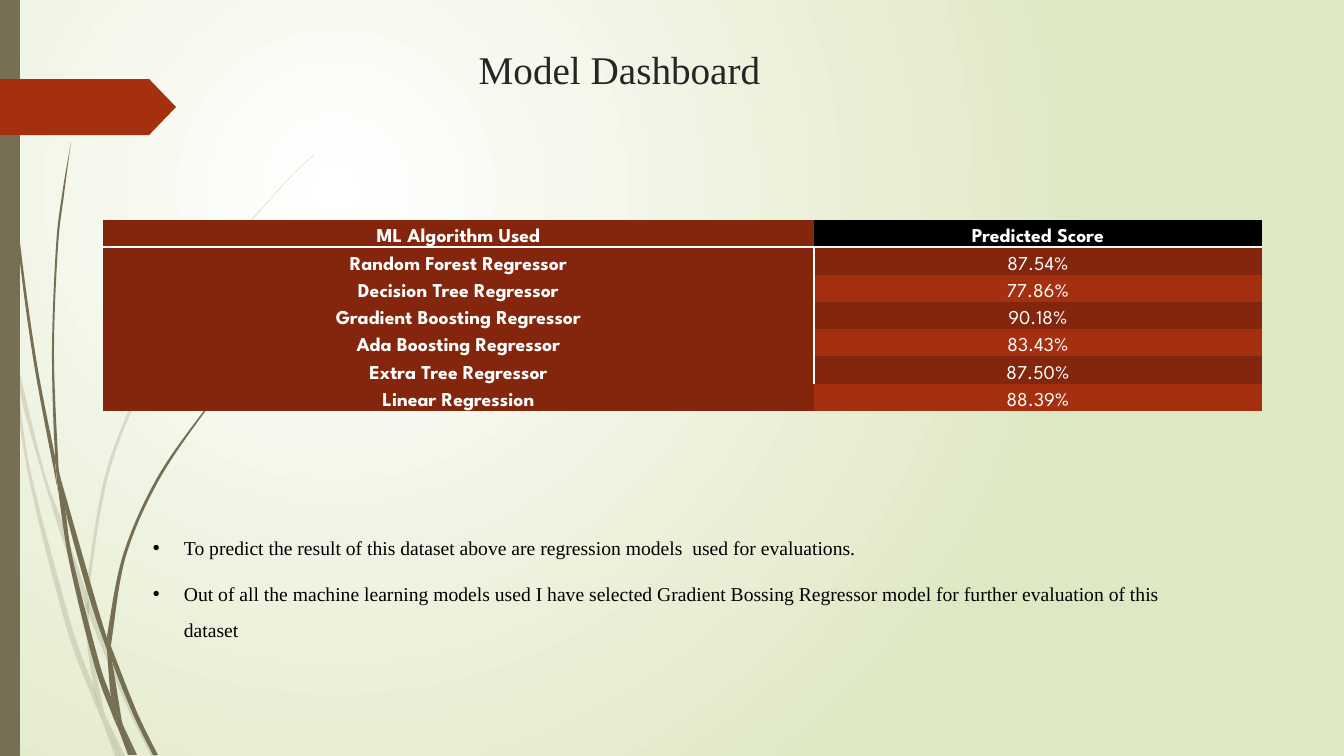
import dataclasses

import pptx
import pptx.dml.color
import pptx.enum.shapes
import pptx.enum.text
import pptx.oxml.ns
import pptx.util
from lxml import etree

PIXEL = 914400 / 100.8
PAGE_WIDTH, PAGE_HEIGHT = 1344, 756
qn = pptx.oxml.ns.qn


@dataclasses.dataclass(frozen=True)
class Theme:
    olive: str = "766F54"
    rust: str = "A53010"
    dark_rust: str = "84260D"
    black: str = "000000"
    white: str = "FFFFFF"
    title_ink: str = "262626"
    backdrop: str = "DFE8C4"
    serif: str = "Times New Roman"
    sans: str = "League Spartan"
    title_size: int = 28
    body_size: int = 14


THEME = Theme()

# Blades of grass: each is a list of smooth edges, which meet at corners
PALE_BLADES = [
    [[(11, 353), (9, 325), (0, 284)], [(0, 301), (10, 347), (11, 353)]],
    [[(14, 348), (17, 379), (29, 428), (58, 526), (85, 604)],
     [(86, 591), (63, 524), (43, 467), (14, 348)]],
    [[(89, 601), (89, 615), (124, 700), (151, 756)], [(156, 756), (128, 698), (93, 612), (89, 601)]],
    [[(120, 756), (125, 756)], [(106, 717), (120, 756)]],
    [[(11, 353), (28, 474), (66, 626), (93, 699), (102, 720)],
     [(100, 713), (94, 688), (71, 624), (31, 473), (17, 379), (11, 353)]],
    [[(85, 604), (88, 651), (94, 688), (97, 698), (106, 717)],
     [(104, 712), (92, 651), (89, 615), (89, 613), (85, 604)]],
    [[(86, 591), (86, 589), (108, 465), (159, 351), (230, 246), (270, 199), (291, 176), (314, 154)],
     [(314, 155), (292, 176), (270, 200), (231, 247), (161, 352), (111, 466), (89, 589), (89, 601)]],
    [[(102, 720), (115, 756)], [(120, 756), (102, 720)]],
    [[(89, 613), (89, 601)], [(86, 591), (85, 604), (89, 613)]],
    [[(94, 688), (100, 713), (102, 720), (120, 756)], [(106, 717), (97, 698), (94, 688)]],
]
DARK_BLADES = [
    [[(3, 0), (4, 48), (7, 111), (17, 235), (33, 358), (56, 481), (57, 485)],
     [(55, 461), (55, 457), (36, 358), (19, 234), (8, 110), (5, 48), (4, 0)]],
    [[(60, 476), (65, 509), (89, 597), (107, 650)], [(107, 638), (94, 595), (60, 476)]],
    [[(111, 646), (112, 661), (133, 714), (153, 755)], [(158, 755), (137, 712), (114, 654), (111, 646)]],
    [[(57, 481), (69, 561), (94, 664), (112, 714), (118, 728)],
     [(117, 723), (111, 697), (99, 662), (73, 560), (65, 509), (57, 481)]],
    [[(60, 476), (58, 457), (54, 352), (58, 247), (64, 195), (71, 142)],
     [(71, 142), (62, 195), (56, 247), (52, 352), (55, 453), (60, 476)]],
    [[(134, 755), (137, 755)], [(123, 725), (134, 755)]],
    [[(57, 481), (65, 509)], [(60, 476), (55, 453)], [(55, 457), (57, 481)]],
    [[(112, 638), (126, 556), (159, 480), (207, 409), (233, 377), (247, 362), (263, 347)],
     [(262, 347), (247, 361), (233, 376), (206, 408), (157, 478), (123, 555), (107, 636)],
     [(111, 646), (112, 638)]],
    [[(118, 728), (128, 755)], [(132, 755), (118, 728)]],
    [[(107, 650), (111, 697), (117, 712), (123, 725)], [(122, 722), (112, 661), (110, 656), (107, 650)]],
    [[(107, 650), (110, 656), (112, 661)], [(111, 646), (107, 636)]],
    [[(111, 697), (117, 723), (118, 728), (131, 755)], [(134, 755), (123, 725), (117, 712), (111, 697)]],
]
SCORES = [
    ("ML Algorithm Used", "Predicted Score"),
    ("Random Forest Regressor", "87.54%"),
    ("Decision Tree Regressor", "77.86%"),
    ("Gradient Boosting Regressor", "90.18%"),
    ("Ada Boosting Regressor", "83.43%"),
    ("Extra Tree Regressor", "87.50%"),
    ("Linear Regression", "88.39%"),
]
REMARKS = [
    "To predict the result of this dataset above are regression models  used for evaluations.",
    "Out of all the machine learning models used I have selected Gradient Bossing Regressor "
    "model for further evaluation of this dataset",
]


def emu(pixels):
    return pptx.util.Emu(round(pixels * PIXEL))


def rgb(colour):
    return pptx.dml.color.RGBColor.from_string(colour)


def set_font(paragraph, name, size, colour, bold=False):
    font = paragraph.font
    font.name, font.size, font.bold = name, pptx.util.Pt(size), bold
    font.color.rgb = rgb(colour)


def paint(shape, colour, opacity=100):
    shape.shadow.inherit = False
    shape.line.fill.background()
    shape.fill.solid()
    shape.fill.fore_color.rgb = rgb(colour)
    if opacity < 100:
        tone = shape._element.spPr.find(".//" + qn("a:srgbClr"))
        etree.SubElement(tone, qn("a:alpha"), val=str(opacity * 1000))


def bend_edges(shape, edges):
    """Turn the straight segments within each edge into Catmull-Rom curves."""
    spots = list(shape._element.iter(qn("a:pt")))
    first = 0
    for edge in edges:
        run = spots[first:first + len(edge)]
        first += len(edge)
        places = [(int(spot.get("x")), int(spot.get("y"))) for spot in run]
        padded = [places[0], *places, places[-1]]
        for spot, a, b, c, d in zip(run[1:], padded, padded[1:], padded[2:], padded[3:]):
            segment = spot.getparent()
            curve = etree.Element(qn("a:cubicBezTo"))
            leave = [q + (r - p) / 6 for p, q, r in zip(a, b, c)]
            arrive = [r - (s - q) / 6 for q, r, s in zip(b, c, d)]
            for x, y in (leave, arrive, c):
                etree.SubElement(curve, qn("a:pt"), x=str(round(x)), y=str(round(y)))
            segment.getparent().replace(segment, curve)


def add_blade(page, left, top, edges, opacity):
    points = [(emu(left + x), emu(top + y)) for edge in edges for x, y in edge]
    builder = page.shapes.build_freeform(*points[0])
    builder.add_line_segments(points[1:], close=True)
    blade = builder.convert_to_shape()
    bend_edges(blade, edges)
    paint(blade, THEME.olive, opacity)


def add_backdrop(page):
    fill = page.background.fill
    fill.gradient()
    for stop, colour in zip(fill.gradient_stops, (THEME.white, THEME.backdrop)):
        stop.color.rgb = rgb(colour)
    gradient = page._element.find(".//" + qn("a:gradFill"))
    gradient.remove(gradient.find(qn("a:lin")))
    circle = etree.SubElement(gradient, qn("a:path"), {"path": "circle"})
    etree.SubElement(circle, qn("a:fillToRect"), l="50000", t="50000", r="100000", b="100000")


def add_side_decoration(page, left, top, height):
    for blades, opacity in ((PALE_BLADES, 20), (DARK_BLADES, 100)):
        for edges in blades:
            add_blade(page, left, top, edges, opacity)
    kinds = pptx.enum.shapes.MSO_SHAPE
    # Side bar, then the arrow tag over it
    bar = page.shapes.add_shape(kinds.RECTANGLE, emu(left), emu(top), emu(20), emu(height))
    paint(bar, THEME.olive)
    tag = page.shapes.add_shape(kinds.PENTAGON, emu(left), emu(top + 79), emu(176), emu(56))
    tag.adjustments[0] = 0.48
    paint(tag, THEME.rust)


def add_text_box(page, left, top, width, height):
    box = page.shapes.add_textbox(emu(left), emu(top), emu(width), emu(height))
    box.text_frame.word_wrap = True
    return box.text_frame


def add_title(page, left, top, width, height):
    paragraph = add_text_box(page, left, top, width, height).paragraphs[0]
    paragraph.text = "Model Dashboard"
    paragraph.alignment = pptx.enum.text.PP_ALIGN.CENTER
    set_font(paragraph, THEME.serif, THEME.title_size, THEME.title_ink)


def add_border(cell, side, points):
    edge = etree.Element(qn("a:" + side), w=str(pptx.util.Pt(points)))
    fill = etree.SubElement(edge, qn("a:solidFill"))
    etree.SubElement(fill, qn("a:srgbClr"), val=THEME.white)
    cell._tc.get_or_add_tcPr().insert(0, edge)


def cell_colour(row, column):
    if column == 0:
        return THEME.dark_rust
    if row == 0:
        return THEME.black
    return THEME.dark_rust if row % 2 else THEME.rust


def add_score_table(page, left, top, column_widths, height):
    table = page.shapes.add_table(len(SCORES), 2, emu(left), emu(top),
                                  emu(sum(column_widths)), emu(height)).table
    # Plain style without a grid
    table._tbl.tblPr.find(qn("a:tableStyleId")).text = "{2D5ABB26-0587-4C30-8999-92F81FD0307C}"
    for column, width in zip(table.columns, column_widths):
        column.width = emu(width)
    for row, texts in enumerate(SCORES):
        for column, text in enumerate(texts):
            cell = table.cell(row, column)
            cell.margin_left = cell.margin_right = emu(7)
            cell.margin_top = cell.margin_bottom = 0
            cell.vertical_anchor = pptx.enum.text.MSO_ANCHOR.BOTTOM
            cell.fill.solid()
            cell.fill.fore_color.rgb = rgb(cell_colour(row, column))
            paragraph = cell.text_frame.paragraphs[0]
            paragraph.text = text
            paragraph.alignment = pptx.enum.text.PP_ALIGN.CENTER
            set_font(paragraph, THEME.sans, THEME.body_size, THEME.white, row == 0 or column == 0)
            if row == 0:
                add_border(cell, "lnB", 1.5)
            elif column == 0 and row < len(SCORES) - 1:
                add_border(cell, "lnR", 2)


def add_remarks(page, left, top, width, height):
    frame = add_text_box(page, left, top, width, height)
    for index, remark in enumerate(REMARKS):
        paragraph = frame.add_paragraph() if index else frame.paragraphs[0]
        paragraph.text = remark
        paragraph.line_spacing = 1.5
        paragraph.space_after = pptx.util.Pt(8)
        set_font(paragraph, THEME.serif, THEME.body_size, THEME.black)
        properties = paragraph._p.get_or_add_pPr()
        properties.set("marL", str(emu(81)))
        properties.set("indent", str(emu(-31)))
        defaults = properties.find(qn("a:defRPr"))
        defaults.addprevious(etree.Element(qn("a:buFont"), typeface="Arial"))
        defaults.addprevious(etree.Element(qn("a:buChar"), char="•"))


def build_dashboard(deck):
    page = deck.slides.add_slide(deck.slide_layouts[6])
    add_backdrop(page)
    add_side_decoration(page, 0, 0, PAGE_HEIGHT)
    add_title(page, 93, 40, 1053, 78)
    add_score_table(page, 103, 220, (711, 448), 191)
    add_remarks(page, 93, 519, 1111, 128)


deck = pptx.Presentation()
deck.slide_width, deck.slide_height = emu(PAGE_WIDTH), emu(PAGE_HEIGHT)
build_dashboard(deck)
deck.save("out.pptx")
